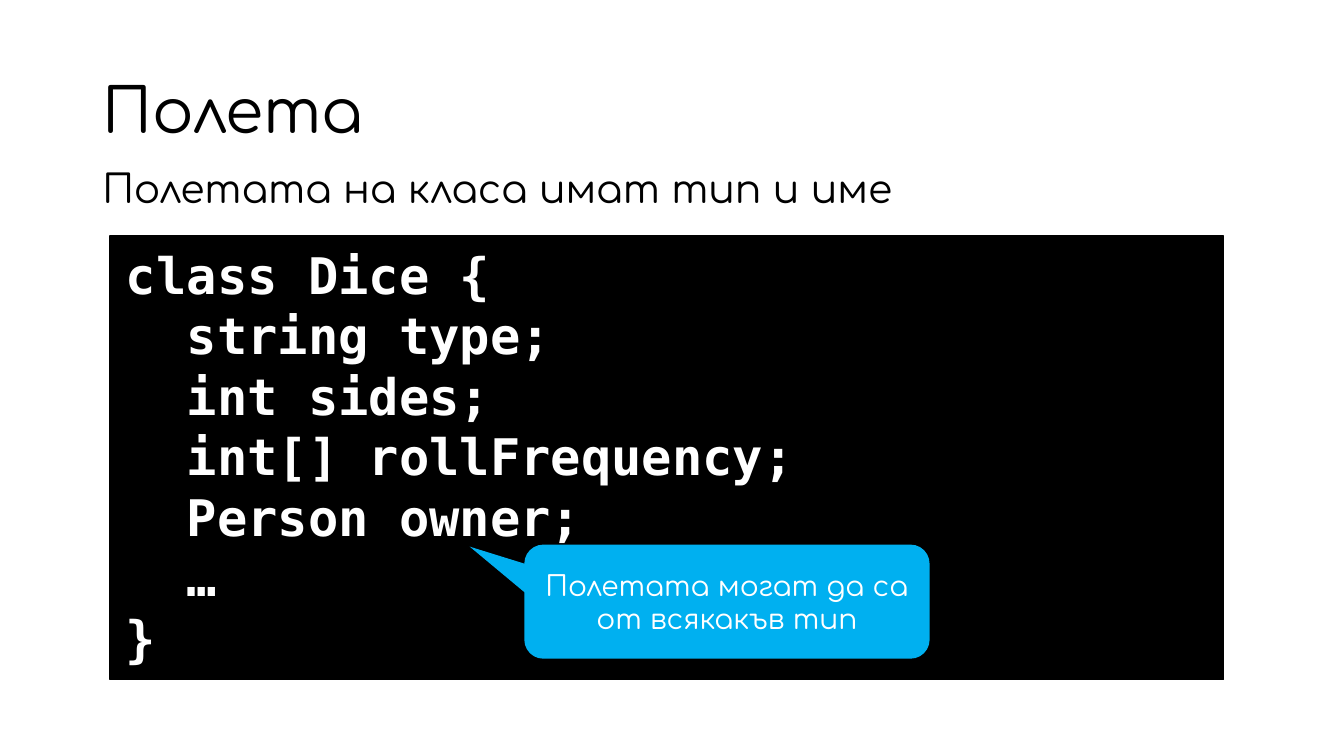
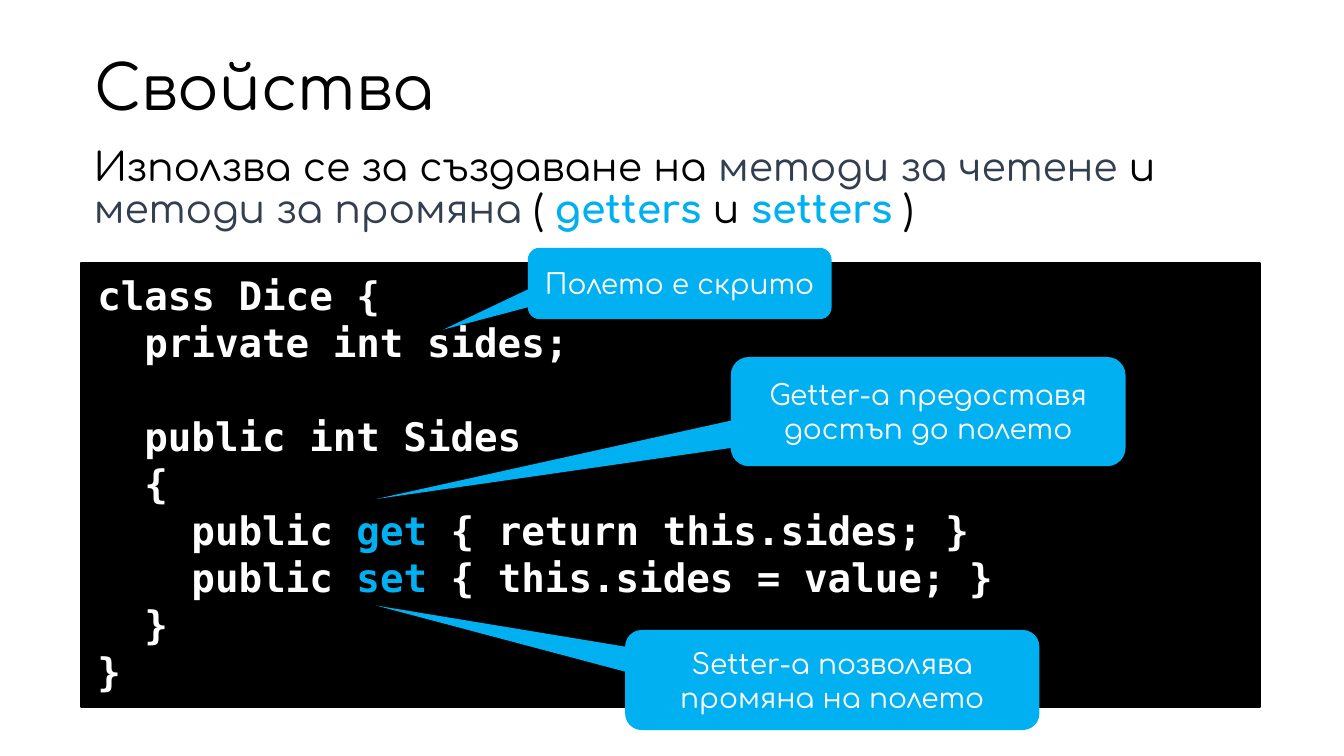
import dataclasses

import lxml.etree
import pptx
import pptx.dml.color
import pptx.enum.shapes
import pptx.enum.text
import pptx.oxml.ns
import pptx.util

Pt = pptx.util.Pt
PP_ALIGN = pptx.enum.text.PP_ALIGN
MSO_ANCHOR = pptx.enum.text.MSO_ANCHOR
MSO_SHAPE = pptx.enum.shapes.MSO_SHAPE


@dataclasses.dataclass(frozen=True)
class Theme:
    """Colours, fonts and type sizes shared by the slides."""

    ink: str = "000000"
    paper: str = "FFFFFF"
    slate: str = "333F50"
    accent: str = "00B0F0"
    text_font: str = "Comfortaa"
    code_font: str = "DejaVu Sans Mono"
    title_size: float = 44
    lead_size: float = 28
    callout_size: float = 20
    line_spacing: float = 0.9


@dataclasses.dataclass(frozen=True)
class Box:
    """A rectangle in points."""

    left: float
    top: float
    width: float
    height: float

    def lengths(self):
        """Return the four sides as pptx lengths."""
        return [Pt(value) for value in (self.left, self.top, self.width, self.height)]

    def offset_of(self, point):
        """Return a point's distance from the centre as fractions of the size."""
        return (
            (point[0] - self.left) / self.width - 0.5,
            (point[1] - self.top) / self.height - 0.5,
        )


@dataclasses.dataclass(frozen=True)
class Piece:
    """Text with its own colour or weight."""

    text: str
    colour: str
    bold: bool = False


THEME = Theme()


def rgb(colour):
    """Turn a hex string into a colour."""
    return pptx.dml.color.RGBColor.from_string(colour)


def write_spans(para, pieces, font, size, colour, bold=False):
    """Fill a paragraph with plain strings and highlighted pieces."""
    for piece in pieces:
        if isinstance(piece, str):
            piece = Piece(piece, colour)
        span = para.add_run()
        span.text = piece.text
        span.font.name = font
        span.font.size = Pt(size)
        span.font.bold = bold or piece.bold
        span.font.color.rgb = rgb(piece.colour)


def add_title(page, box, text):
    """Place the title placeholder."""
    title = page.shapes.title
    title.left, title.top, title.width, title.height = box.lengths()
    frame = title.text_frame
    frame.auto_size = pptx.enum.text.MSO_AUTO_SIZE.NONE
    frame.vertical_anchor = MSO_ANCHOR.MIDDLE
    para = frame.paragraphs[0]
    para.alignment = PP_ALIGN.LEFT
    para.line_spacing = THEME.line_spacing
    write_spans(para, [text], THEME.text_font, THEME.title_size, THEME.ink)


def add_lead(page, box, pieces):
    """Place the sentence under the title."""
    frame = page.shapes.add_textbox(*box.lengths()).text_frame
    frame.word_wrap = True
    para = frame.paragraphs[0]
    para.line_spacing = THEME.line_spacing
    write_spans(para, pieces, THEME.text_font, THEME.lead_size, THEME.ink)


def add_panel(page, kind, box, fill):
    """Add a filled shape without shadow or outline."""
    panel = page.shapes.add_shape(kind, *box.lengths())
    panel.shadow.inherit = False
    panel.fill.solid()
    panel.fill.fore_color.rgb = rgb(fill)
    panel.line.fill.background()
    panel.text_frame.word_wrap = True
    return panel


def add_code(page, box, lines, size):
    """Place a code panel with one paragraph per line."""
    panel = add_panel(page, MSO_SHAPE.RECTANGLE, box, THEME.ink)
    panel.line.color.rgb = rgb(THEME.ink)
    panel.line.width = Pt(1)
    frame = panel.text_frame
    frame.vertical_anchor = MSO_ANCHOR.TOP
    frame.margin_left = frame.margin_right = Pt(11.5)
    frame.margin_top = frame.margin_bottom = Pt(5.75)
    for index, pieces in enumerate(lines):
        para = frame.add_paragraph() if index else frame.paragraphs[0]
        para.alignment = PP_ALIGN.LEFT
        write_spans(para, pieces, THEME.code_font, size, THEME.paper, bold=True)
        if not pieces:
            end = lxml.etree.SubElement(para._p, pptx.oxml.ns.qn("a:endParaRPr"), sz=str(size * 100))
            lxml.etree.SubElement(end, pptx.oxml.ns.qn("a:latin"), typeface=THEME.code_font)


def add_callout(page, box, tip, text):
    """Place a rounded callout whose pointer ends at the tip."""
    callout = add_panel(page, MSO_SHAPE.ROUNDED_RECTANGULAR_CALLOUT, box, THEME.accent)
    callout.adjustments[0], callout.adjustments[1] = box.offset_of(tip)
    frame = callout.text_frame
    frame.vertical_anchor = MSO_ANCHOR.MIDDLE
    para = frame.paragraphs[0]
    para.alignment = PP_ALIGN.CENTER
    write_spans(para, [text], THEME.text_font, THEME.callout_size, THEME.paper)


def add_code_slide(deck, title, lead, code, callouts):
    """Build a slide of title, lead sentence, code panel and callouts."""
    page = deck.slides.add_slide(deck.slide_layouts[5])
    add_title(page, *title)
    add_lead(page, *lead)
    add_code(page, *code)
    for callout in callouts:
        add_callout(page, *callout)


def add_fields_slide(deck):
    """Build the slide on class fields."""
    code = [
        ["class Dice {"],
        ["  string type;"],
        ["  int sides;"],
        ["  int[] rollFrequency;"],
        ["  Person owner;"],
        ["  …"],
        ["}"],
    ]
    add_code_slide(
        deck,
        title=(Box(66, 29, 828, 104), "Полета"),
        lead=(Box(66, 117.5, 828, 47.5), ["Полетата на класа имат тип и име"]),
        code=(Box(78.5, 168.5, 795.5, 317), code, 36),
        callouts=[
            (Box(374.5, 389, 289.5, 81.5), (335.5, 390.5), "Полетата могат да са от всякакъв тип"),
        ],
    )


def add_properties_slide(deck):
    """Build the slide on properties."""
    lead = [
        "Използва се за създаване на ",
        Piece("методи за четене ", THEME.slate),
        "и ",
        Piece("методи за промяна ", THEME.slate),
        "( ",
        Piece("getters ", THEME.accent, True),
        "и ",
        Piece("setters ", THEME.accent, True),
        ")",
    ]
    code = [
        ["class Dice {"],
        ["  private int sides;"],
        [],
        ["  public int Sides"],
        ["  {"],
        ["    public ", Piece("get", THEME.accent), " { return this.sides; }"],
        ["    public ", Piece("set", THEME.accent), " { this.sides = value; }"],
        ["  }"],
        ["}"],
    ]
    add_code_slide(
        deck,
        title=(Box(60, 27.5, 828, 75), "Свойства"),
        lead=(Box(60, 102, 828, 78.5), lead),
        code=(Box(58, 188, 842, 317), code, 28),
        callouts=[
            (Box(377, 177, 217, 51), (316.5, 235.5), "Полето е скрито"),
            (Box(522, 255, 282, 78), (268.5, 356.5), "Getter-а предоставя достъп до полето"),
            (Box(446.5, 450, 296, 71.5), (268.5, 432.5), "Setter-а позволява промяна на полето"),
        ],
    )


def main():
    """Build and save the deck."""
    deck = pptx.Presentation()
    deck.slide_width, deck.slide_height = Pt(960), Pt(540)
    add_fields_slide(deck)
    add_properties_slide(deck)
    deck.save("out.pptx")


if __name__ == "__main__":
    main()
